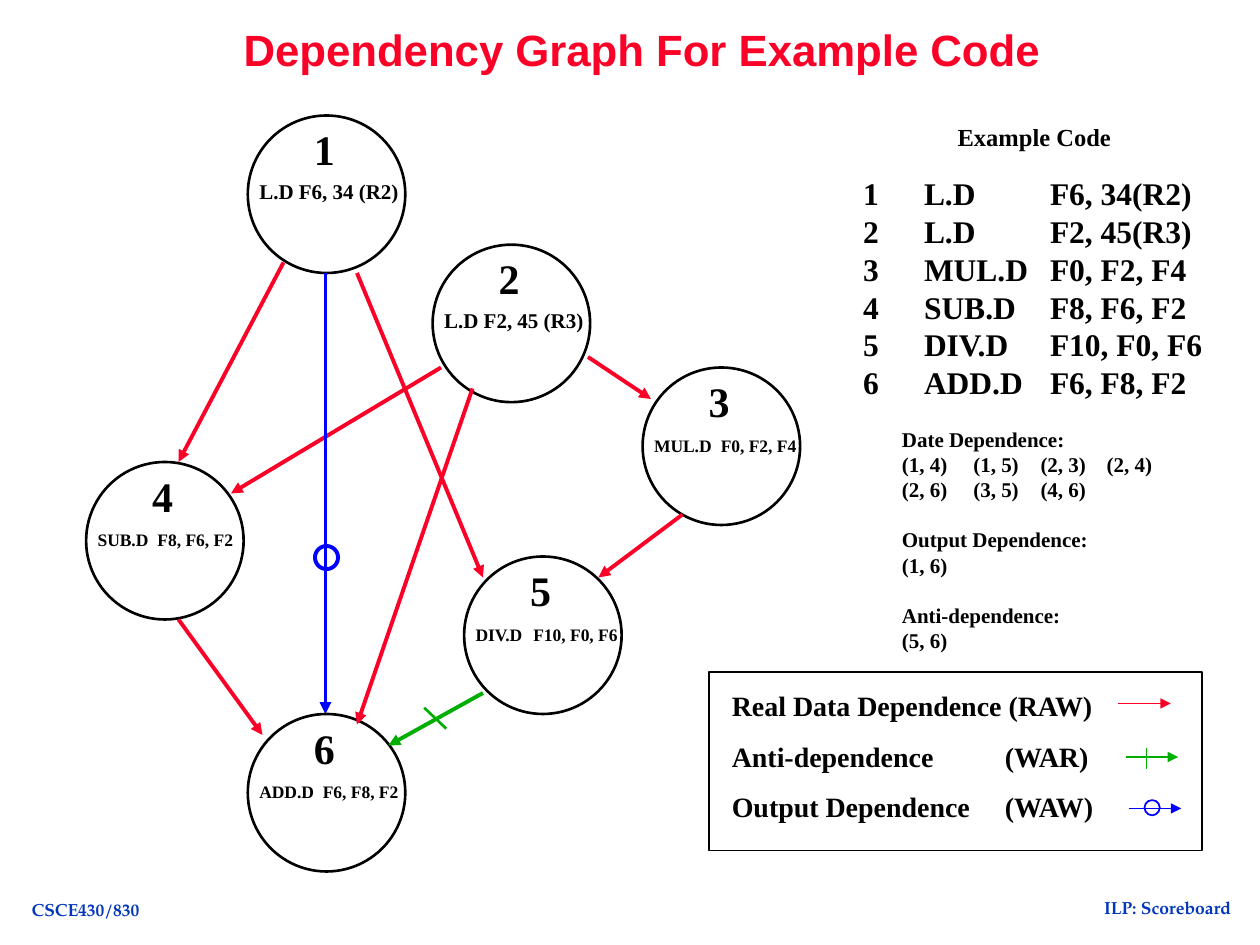
import pptx
import pptx.util
import pptx.dml.color
import pptx.enum.shapes
import pptx.enum.text
from lxml import etree
from pptx.oxml.ns import qn

# All places are in cells of a 120 x 90 grid (12 cells to the inch).
COLUMNS, ROWS, CELLS_PER_INCH = 120, 90, 12
COLORS = {"title": "FC0128", "ink": "000000", "footer": "0237BC",
          "raw": "FC0128", "war": "00AE00", "waw": "0000FF"}
SERIF, SANS, FOOTER_FONT = "Times New Roman", "Arial", "TeX Gyre Pagella"
LINE_HEIGHT = 1.2
NODE_SIZE = 15

# number, column, row, instruction, size, tab between operation and operands
NODES = [
    ("1", 23.6, 11, "L.D F6, 34 (R2)", 12, None),
    ("2", 41.2, 23.3, "L.D F2, 45 (R3)", 12, None),
    ("3", 61.2, 35, "MUL.D\tF0, F2, F4", 10, 6.35),
    ("5", 44.2, 53, "DIV.D\tF10, F0, F6", 10, 5.5),
    ("4", 8.2, 44, "SUB.D\tF8, F6, F2", 10, 5.7),
    ("6", 23.6, 68, "ADD.D\tF6, F8, F2", 10, 6.05),
]
CODE = ["L.D\tF6, 34(R2)", "L.D\tF2, 45(R3)", "MUL.D\tF0, F2, F4",
        "SUB.D\tF8, F6, F2", "DIV.D\tF10, F0, F6", "ADD.D\tF6, F8, F2"]
DEPENDENCES = [
    ("Date Dependence:", "(1, 4)\t(1, 5)\t(2, 3)\t(2, 4)", "(2, 6)\t(3, 5)\t(4, 6)"),
    ("Output Dependence:", "(1, 6)"),
    ("Anti-dependence:", "(5, 6)"),
]
LEGEND = ["Real Data Dependence (RAW)", "Anti-dependence\t(WAR)", "Output Dependence\t(WAW)"]
GRAPH_ARROWS = [
    ("raw", (56, 34), (62, 38)),
    ("raw", (27, 25), (17, 44)),
    ("raw", (42, 35), (22, 47)),
    ("raw", (65, 49), (57, 55)),
    ("raw", (34, 26), (46, 55)),
    ("war", (46, 66), (37, 71)),
    ("waw", (31, 26), (31, 68)),
    ("raw", (17, 59), (25, 70)),
    ("raw", (45, 37), (34, 69)),
]
LEGEND_ARROWS = [
    ("raw", (106.5, 67), (111.5, 67)),
    ("war", (107.2, 72.1), (112.2, 72.1)),
    ("waw", (107.5, 77), (112.5, 77)),
]

deck = pptx.Presentation()
deck.slide_width = pptx.util.Inches(COLUMNS / CELLS_PER_INCH)
deck.slide_height = pptx.util.Inches(ROWS / CELLS_PER_INCH)
slide = deck.slides.add_slide(deck.slide_layouts[6])


def cells(count):
    return pptx.util.Inches(count / CELLS_PER_INCH)


def rgb(name):
    return pptx.dml.color.RGBColor.from_string(COLORS[name])


def add_text(lines, place, size, font=SERIF, color="ink", align="LEFT", anchor="TOP",
             spacing=None, tabs=(), gaps=None, indent=1.2, wrap=True):
    """Write one paragraph a line; gaps maps a line's index to its space before."""
    frame = slide.shapes.add_textbox(*map(cells, place)).text_frame
    frame.word_wrap = wrap
    frame.vertical_anchor = getattr(pptx.enum.text.MSO_ANCHOR, anchor)
    frame.margin_left = cells(indent)
    frame.margin_right = 0 if wrap else cells(indent)
    for index, line in enumerate(lines):
        paragraph = frame.paragraphs[0] if index == 0 else frame.add_paragraph()
        if tabs:
            stops = etree.SubElement(paragraph._p.get_or_add_pPr(), qn("a:tabLst"))
            for tab in tabs:
                etree.SubElement(stops, qn("a:tab"), pos=str(int(cells(tab))), algn="l")
        paragraph.alignment = getattr(pptx.enum.text.PP_ALIGN, align)
        paragraph.line_spacing = spacing or pptx.util.Pt(size * LINE_HEIGHT)
        if gaps and index in gaps:
            paragraph.space_before = pptx.util.Pt(gaps[index])
        run = paragraph.add_run()
        run.text = line
        run.font.name, run.font.size, run.font.bold = font, pptx.util.Pt(size), True
        run.font.color.rgb = rgb(color)


def add_outline(kind, place, color, width):
    shape = slide.shapes.add_shape(getattr(pptx.enum.shapes.MSO_SHAPE, kind),
                                   *map(cells, place))
    shape.shadow.inherit = False
    shape.fill.background()
    shape.line.color.rgb = rgb(color)
    shape.line.width = pptx.util.Pt(width)


def add_line(color, start, end, width, arrow=True):
    line = slide.shapes.add_connector(pptx.enum.shapes.MSO_CONNECTOR.STRAIGHT,
                                      *map(cells, start + end))
    line.line.color.rgb = rgb(color)
    line.line.width = pptx.util.Pt(width)
    if arrow:
        etree.SubElement(line.line._get_or_add_ln(), qn("a:tailEnd"), type="triangle")
    etree.SubElement(line._element.spPr, qn("a:effectLst"))


add_text(["ILP: Scoreboard"], (103.3, 84.8, 15.8, 3.1), 10, font=FOOTER_FONT,
         color="footer", align="CENTER", spacing=1.0, wrap=False)
add_text(["CSCE430/830"], (1.8, 85, 12.7, 3.1), 10, font=FOOTER_FONT,
         color="footer", align="CENTER", spacing=1.0, wrap=False)
add_text(["Dependency Graph For Example Code"], (14, 3, 102, 4), 25, font=SANS,
         color="title", anchor="MIDDLE", spacing=0.9, indent=9.2)

add_text(["Example Code"], (90, 11, 17, 4.1), 14)
add_text(CODE, (86.8, 16, 28.9, 22.8), 18, tabs=[12])
add_text([str(number + 1) for number in range(len(CODE))], (81, 16, 3.8, 22.8), 18)

for number, column, row, instruction, size, tab in NODES:
    add_outline("OVAL", (column, row, NODE_SIZE, NODE_SIZE), "ink", 1.5)
    add_text([instruction], (column - 0.1, row + (5.4 if size == 12 else 5.8), 15.8, 4),
             size, tabs=[tab] if tab else ())
    add_text([number], (column + 5.1, row + 0.2, 4.3, 6), 24)

dependence_lines, dependence_gaps = [], {}
for group in DEPENDENCES:
    if dependence_lines:
        dependence_gaps[len(dependence_lines)] = 12 * LINE_HEIGHT
    dependence_lines.extend(group)
add_text(dependence_lines, (84.7, 40, 28.2, 22.8), 12, tabs=[6.8, 13.2, 19.5],
         gaps=dependence_gaps)

for kind, start, end in GRAPH_ARROWS:
    add_line(kind, start, end, 2.25)
add_line("war", (40.4, 67.4), (42.5, 69.4), 1.5, arrow=False)
add_outline("OVAL", (30, 52, 2.2, 2.2), "waw", 2.25)

add_outline("RECTANGLE", (67.5, 64, 47, 17), "ink", 1)
add_text(LEGEND, (68.5, 65, 37.4, 14), 16, tabs=[26], gaps={1: 9.6, 2: 9.6})
for kind, start, end in LEGEND_ARROWS:
    add_line(kind, start, end, 1)
add_line("war", (109.2, 71.2), (109.2, 73.2), 1, arrow=False)
add_outline("OVAL", (109, 76.2, 1.45, 1.45), "waw", 1)

deck.save("out.pptx")
